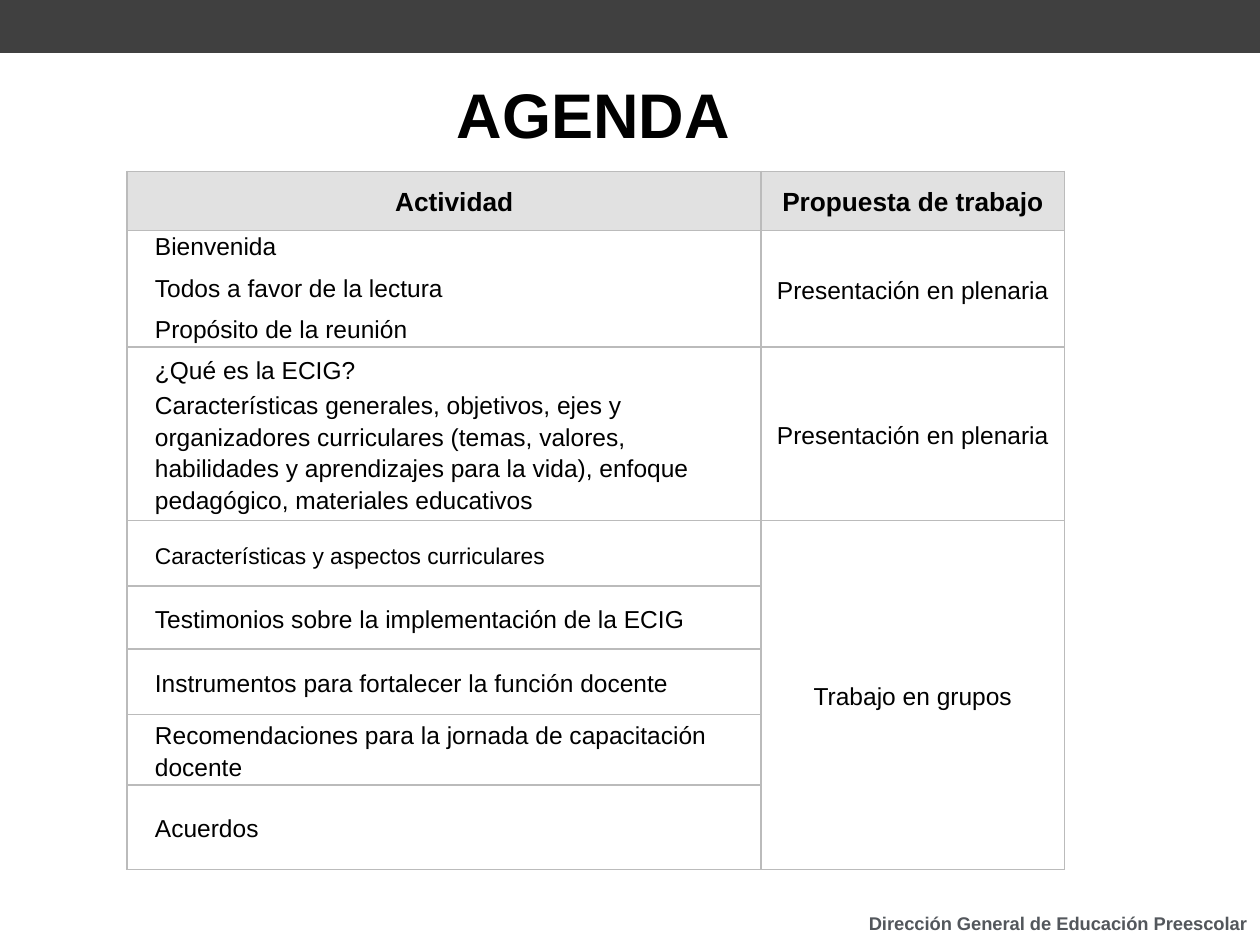
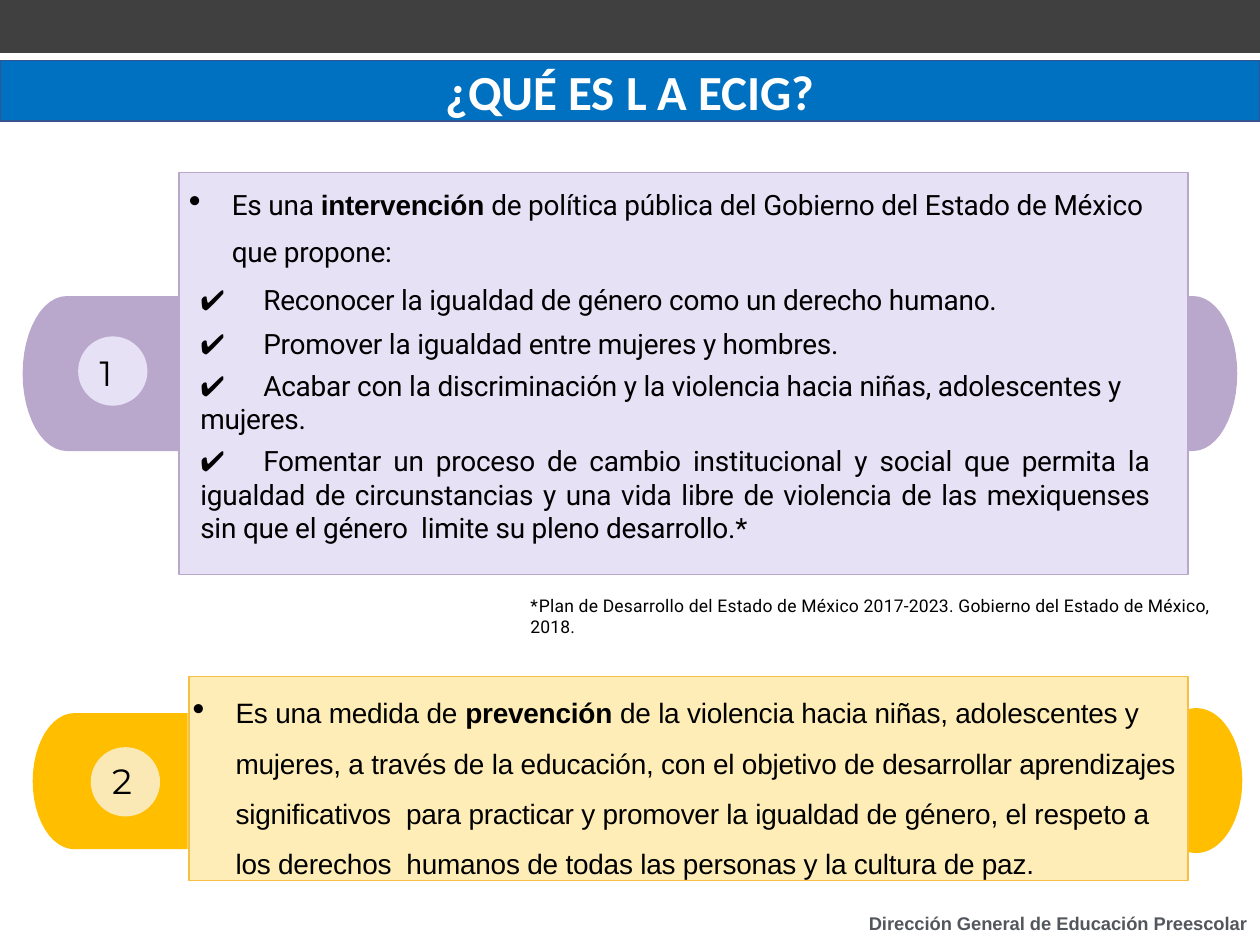
from math import cos, pi, sin

from lxml.etree import SubElement
from pptx import Presentation
from pptx.dml.color import RGBColor
from pptx.enum.shapes import MSO_SHAPE
from pptx.enum.text import MSO_ANCHOR, PP_ALIGN
from pptx.oxml.ns import qn
from pptx.util import Inches, Pt

BLACK, WHITE, BAND, FOOTER = "000000", "FFFFFF", "404040", "53575C"
BLUE, BLUE_EDGE = "0070C0", "325491"
LILAC, LILAC_PALE = "B9A8CC", "E7E1F5"
AMBER, AMBER_EDGE, AMBER_PALE, AMBER_DISC = "FFBF00", "F7BF45", "FEEDB6", "FAE9B4"
GRID, HEAD_FILL = "BBBBBB", "E1E1E1"
LEFT, CENTER, RIGHT, JUSTIFY = PP_ALIGN.LEFT, PP_ALIGN.CENTER, PP_ALIGN.RIGHT, PP_ALIGN.JUSTIFY

FOOTER_TEXT = "Dirección General de Educación Preescolar"

AGENDA_HEAD = ("Actividad", "Propuesta de trabajo")
# height, activities, size, line spacing, space after, way of working
AGENDA = [
    (0.71, ["Bienvenida", "Todos a favor de la lectura", "Propósito de la reunión"],
     14, None, 8, "Presentación en plenaria"),
    (1.38, ["¿Qué es la ECIG?",
            "Características generales, objetivos, ejes y organizadores curriculares "
            "(temas, valores, habilidades y aprendizajes para la vida), enfoque "
            "pedagógico, materiales educativos"],
     14, Pt(18), 2, "Presentación en plenaria"),
    (0.52, ["Características y aspectos curriculares"], 13, Pt(18), 2, "Trabajo en grupos"),
    (0.5, ["Testimonios sobre la implementación de la ECIG"], 14, Pt(18), 8, None),
    (0.52, ["Instrumentos para fortalecer la función docente"], 14, Pt(18), 8, None),
    (0.56, ["Recomendaciones para la jornada de capacitación docente"], 14, Pt(18), 8, None),
    (0.67, ["Acuerdos"], 14, Pt(18), 8, None),
]
HEAD_HEIGHT, COLUMNS = 0.47, (5.03, 2.41)

# Text between bars is bold
INTERVENTION = ("Es una |intervención| de política pública del Gobierno del Estado de "
                "México que propone:")
# text, line spacing, space before, alignment
GOALS = [
    ("Reconocer la igualdad de género como un derecho humano.", 1.38, 1, LEFT),
    ("Promover la igualdad entre mujeres y hombres.", 1.0, 5.8, LEFT),
    ("Acabar con la discriminación y la violencia hacia niñas, adolescentes y mujeres.",
     1.0, 4.8, LEFT),
    ("Fomentar un proceso de cambio institucional y social que permita la igualdad de "
     "circunstancias y una vida libre de violencia de las mexiquenses sin que el género  "
     "limite su pleno desarrollo.*", 1.0, 4.8, JUSTIFY),
]
SOURCE_NOTE = ("Plan de Desarrollo del Estado de México 2017-2023. "
               "Gobierno del Estado de México, 2018.")
PREVENTION = ("Es una medida de |prevención| de la violencia hacia niñas, adolescentes y "
              "mujeres, a través de la educación, con el objetivo de desarrollar aprendizajes "
              "significativos  para practicar y promover la igualdad de género, el respeto a "
              "los derechos  humanos de todas las personas y la cultura de paz.")


def rgb(value):
    return RGBColor.from_string(value)


def paint(sp, fill, line=None, width=0.75):
    sp.shadow.inherit = False
    sp.fill.solid()
    sp.fill.fore_color.rgb = rgb(fill)
    if line:
        sp.line.color.rgb = rgb(line)
        sp.line.width = Pt(width)
    else:
        sp.line.fill.background()
    return sp


def add_preset(s, kind, box, fill, line=None, width=0.75):
    return paint(s.shapes.add_shape(kind, *map(Inches, box)), fill, line, width)


def add_capsule(s, box, cap, fill, round_right=True):
    """Bar with half-ellipse ends of width cap; the right end may be square."""
    x, y, w, h = box
    steps, ry = 24, h / 2
    arc = [(cap * sin(pi * i / steps), ry * cos(pi * i / steps)) for i in range(steps + 1)]
    points = [(x + cap - dx, y + ry + dy) for dx, dy in arc]
    if round_right:
        points += [(x + w - cap + dx, y + ry - dy) for dx, dy in arc]
    else:
        points += [(x + w, y), (x + w, y + h)]
    points = [(Inches(px), Inches(py)) for px, py in points]
    builder = s.shapes.build_freeform(*points[0], scale=1.0)
    builder.add_line_segments(points[1:], close=True)
    return paint(builder.convert_to_shape(), fill)


def set_frame(tf, insets=(0.1, 0.05, 0.1, 0.05), anchor=MSO_ANCHOR.TOP):
    tf.word_wrap = True
    tf.vertical_anchor = anchor
    for side, inset in zip(("left", "top", "right", "bottom"), insets):
        setattr(tf, f"margin_{side}", Inches(inset))
    return tf


def add_box(s, box, **frame):
    return set_frame(s.shapes.add_textbox(*map(Inches, box)).text_frame, **frame)


def add_par(tf, indent=(0, 0), bullet=None, tab=None, **values):
    p = tf.paragraphs[0]
    if p.runs:
        p = tf.add_paragraph()
    pPr = p._p.get_or_add_pPr()
    pPr.set("marL", str(Inches(indent[0])))
    pPr.set("indent", str(Inches(indent[1])))
    if bullet:
        SubElement(pPr, qn("a:buSzPct"), val="125000")
        SubElement(pPr, qn("a:buChar"), char=bullet)
    if tab:
        tabs = SubElement(pPr, qn("a:tabLst"))
        SubElement(tabs, qn("a:tab"), pos=str(Inches(tab)), algn="l")
    for name, value in values.items():
        if value is not None:
            setattr(p, name, value)
    return p


def add_run(p, text, size, font="Arial", color=BLACK, bold=False, spacing=0):
    r = p.add_run()
    r.text = text
    for name, value in {"size": Pt(size), "name": font, "bold": bold}.items():
        setattr(r.font, name, value)
    r.font.color.rgb = rgb(color)
    if spacing:
        r._r.get_or_add_rPr().set("spc", str(round(spacing * 100)))


def add_marked(p, text, font):
    for i, part in enumerate(text.split("|")):
        bold = i % 2 == 1
        add_run(p, part, 16, "Arial" if bold else font, bold=bold, spacing=-0.1)


def new_slide(prs):
    s = prs.slides.add_slide(prs.slide_layouts[6])
    add_preset(s, MSO_SHAPE.RECTANGLE, (0, 0, 10, 0.42), BAND)
    p = add_par(add_box(s, (4.57, 7.19, 5.43, 0.29)), alignment=RIGHT)
    add_run(p, FOOTER_TEXT, 10.5, color=FOOTER, bold=True)
    return s


def format_cell(cell, fill=None):
    if fill:
        cell.fill.solid()
        cell.fill.fore_color.rgb = rgb(fill)
    else:
        cell.fill.background()
    cell.vertical_anchor = MSO_ANCHOR.MIDDLE
    cell.margin_left = cell.margin_right = Inches(0.06)
    cell.margin_top = cell.margin_bottom = 0
    tcPr = cell._tc.get_or_add_tcPr()
    for i, side in enumerate(("lnL", "lnR", "lnT", "lnB")):
        ln = SubElement(tcPr, qn(f"a:{side}"), w=str(Pt(1)))
        SubElement(SubElement(ln, qn("a:solidFill")), qn("a:srgbClr"), val=GRID)
        tcPr.insert(i, ln)


def agenda_slide(prs):
    s = new_slide(prs)
    tf = add_box(s, (0.86, 0.39, 7.7, 1.09), insets=(0.07, 0.04, 0.07, 0.04),
                 anchor=MSO_ANCHOR.MIDDLE)
    add_run(add_par(tf, alignment=CENTER, line_spacing=0.9), "AGENDA", 36, bold=True)

    heights = [HEAD_HEIGHT] + [row[0] for row in AGENDA]
    frame = s.shapes.add_table(len(heights), 2, Inches(1.01), Inches(1.36),
                               Inches(sum(COLUMNS)), Inches(sum(heights)))
    table = frame.table
    table.first_row = table.horz_banding = False
    for column, width in zip(table.columns, COLUMNS):
        column.width = Inches(width)
    for row, height in zip(table.rows, heights):
        row.height = Inches(height)
    for i, row in enumerate(table.rows):
        for cell in row.cells:
            format_cell(cell, None if i else HEAD_FILL)

    for col, (text, indent, after) in enumerate(zip(AGENDA_HEAD, (0.16, 0), (Pt(8), None))):
        p = add_par(table.cell(0, col).text_frame, (indent, 0), alignment=CENTER,
                    line_spacing=Pt(18), space_after=after)
        add_run(p, text, 15, bold=True)
    for i, (_, activities, size, leading, after, mode) in enumerate(AGENDA, 1):
        for text in activities:
            p = add_par(table.cell(i, 0).text_frame, (0.16, 0), line_spacing=leading,
                        space_after=Pt(after))
            add_run(p, text, size)
        if mode:
            p = add_par(table.cell(i, 1).text_frame, alignment=CENTER, line_spacing=Pt(18))
            add_run(p, mode, 14)
    first_group = 1 + [row[5] for row in AGENDA].index("Trabajo en grupos")
    table.cell(first_group, 1).merge(table.cell(len(AGENDA), 1))


def add_number(s, text, disc, fill, number_at):
    add_preset(s, MSO_SHAPE.OVAL, (*disc, 0.55, 0.55), fill)
    tf = add_box(s, (*number_at, 0.21, 0.36), insets=(0.01, 0.02, 0, 0))
    add_run(add_par(tf), text, 20, "Montserrat")


def ecig_slide(prs):
    s = new_slide(prs)
    bar = add_preset(s, MSO_SHAPE.RECTANGLE, (0, 0.48, 10, 0.48), BLUE, BLUE_EDGE, 1)
    tf = set_frame(bar.text_frame, anchor=MSO_ANCHOR.MIDDLE)
    add_run(add_par(tf, alignment=CENTER), "¿QUÉ ES L A ECIG?", 28, "Calibri", WHITE, True)

    add_capsule(s, (0.18, 2.35, 9.64, 1.23), 0.35, LILAC)
    add_preset(s, MSO_SHAPE.RECTANGLE, (1.42, 1.37, 8.01, 3.19), LILAC_PALE, LILAC)
    tf = add_box(s, (1.49, 1.37, 7.64, 3.65), insets=(0, 0.02, 0, 0))
    p = add_par(tf, (0.35, -0.34), "•", 0.35, alignment=LEFT, line_spacing=1.38)
    add_marked(p, INTERVENTION, "Roboto")
    for text, leading, before, align in GOALS:
        p = add_par(tf, (0.1, 0), tab=0.3, alignment=align, line_spacing=leading,
                    space_before=Pt(before))
        add_run(p, "✔\t", 16, "Karla", spacing=1.6)
        add_run(p, text, 16, "Roboto", spacing=-0.1)
    add_number(s, "1", (0.62, 2.67), LILAC_PALE, (0.78, 2.77))

    p = add_par(add_box(s, (4.21, 4.7, 5.7, 0.35), insets=(0, 0.02, 0, 0)))
    add_run(p, "* ", 10, "Roboto", spacing=-1.9)
    add_run(p, SOURCE_NOTE, 10, "Roboto", spacing=0.15)

    add_preset(s, MSO_SHAPE.OVAL, (9.13, 5.62, 0.73, 1.15), AMBER)
    add_capsule(s, (0.26, 5.66, 1.23, 1.08), 0.33, AMBER, round_right=False)
    panel = add_preset(s, MSO_SHAPE.RECTANGLE, (1.5, 5.37, 7.93, 1.62), AMBER_PALE, AMBER_EDGE)
    tf = set_frame(panel.text_frame, insets=(0, 0.02, 0, 0))
    p = add_par(tf, (0.37, -0.34), "•", 0.37, alignment=LEFT, line_spacing=1.5)
    add_marked(p, PREVENTION, "Arial")
    add_number(s, "2", (0.72, 5.93), AMBER_DISC, (0.88, 6.01))


def main():
    prs = Presentation()
    prs.slide_width, prs.slide_height = Inches(10), Inches(7.5)
    agenda_slide(prs)
    ecig_slide(prs)
    prs.save("out.pptx")


if __name__ == "__main__":
    main()
